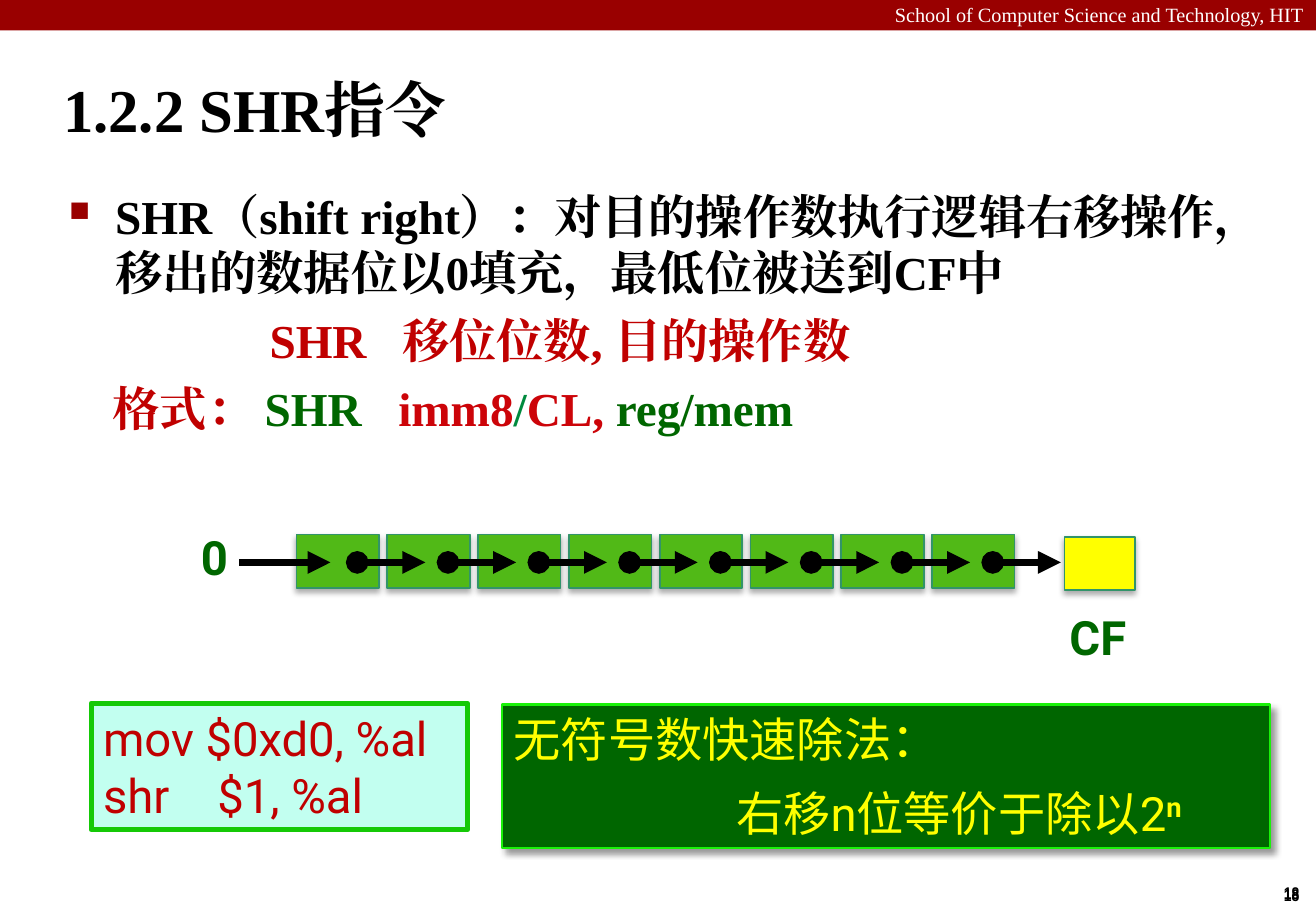
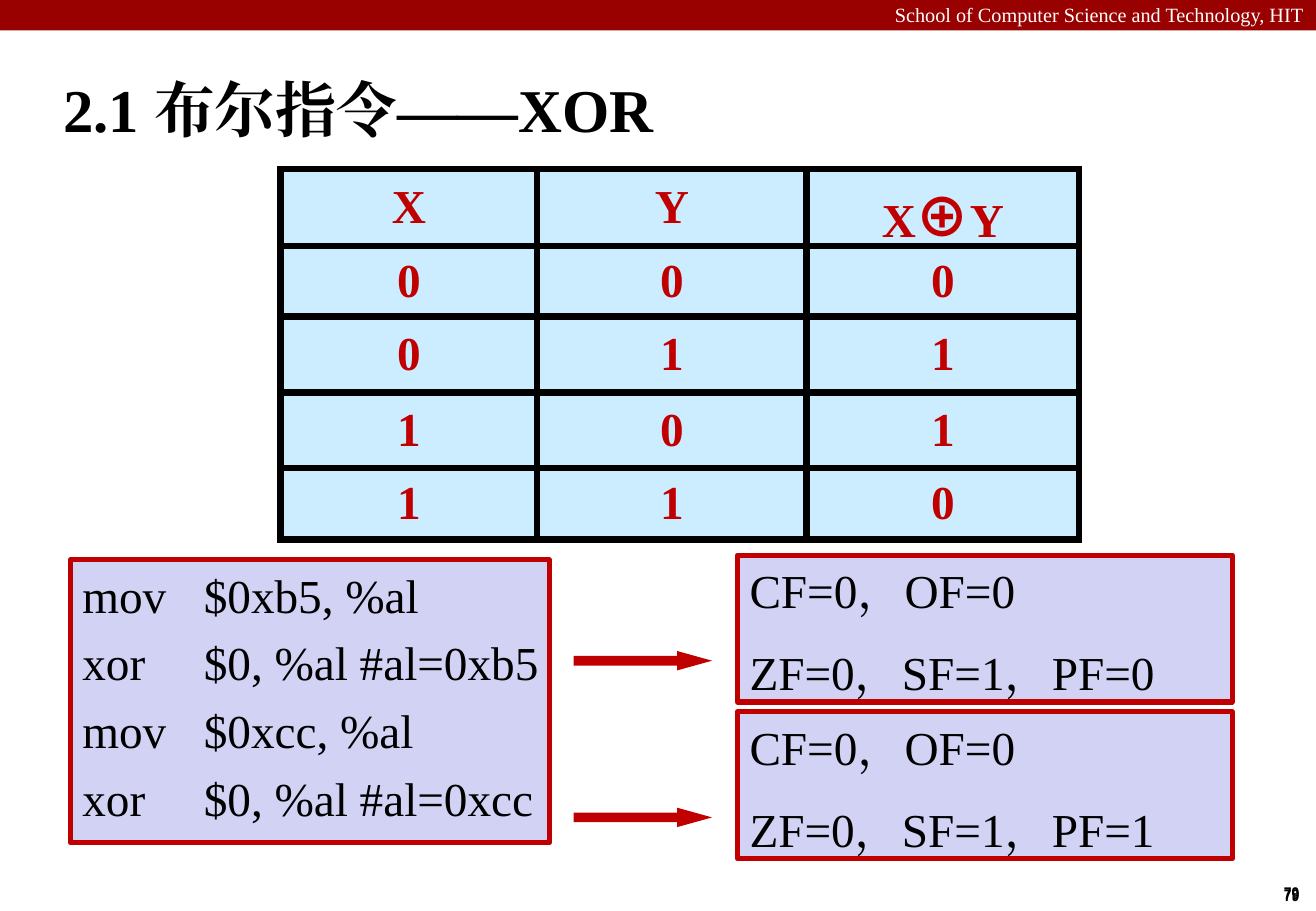
from lxml.etree import SubElement
from pptx import Presentation
from pptx.dml.color import RGBColor
from pptx.enum.shapes import MSO_CONNECTOR, MSO_SHAPE
from pptx.enum.text import MSO_ANCHOR, PP_ALIGN
from pptx.oxml.ns import qn
from pptx.util import Inches, Pt

# Content
HEAD = "School of Computer Science and Technology, HIT"
SHIFT = {
    "title": "1.2.2 SHR指令", "page": "18",
    "about": "SHR（shift right）：对目的操作数执行逻辑右移操作，移出的数据位以0填充，最低位被送到CF中",
    "usage": "\tSHR\t移位位数, 目的操作数",
    "form": [("\t格式：", "red"), ("\tSHR\t", "green"), ("imm8", "bright"),
             ("/", "teal"), ("CL, ", "bright"), ("reg/mem", "green")],
    "code": ["mov $0xd0, %al", "shr\t$1, %al"],
    "note": ["无符号数快速除法：", "右移n位等价于除以2"],
}
XOR = {
    "title": "2.1 布尔指令——XOR", "page": "79",
    "table": ["X Y X⊕Y".split(), "000", "011", "101", "110"],
    "code": ["mov\t$0xb5, %al", "xor\t$0, %al #al=0xb5",
             "mov\t$0xcc, %al", "xor\t$0, %al #al=0xcc"],
    "flags": [["CF=0，OF=0", "ZF=0，SF=1，PF=0"],
              ["CF=0，OF=0", "ZF=0，SF=1，PF=1"]],
}

# Style
HEX = {
    "band": "990000", "white": "FFFFFF", "black": "000000", "red": "C00000",
    "green": "006600", "bright": "CC0409", "teal": "008A3E", "bit": "51B917",
    "edge": "32946A", "yellow": "FFFF00", "mint": "C2FFF0", "lime": "15C907",
    "glow": "19F208", "sky": "CCECFF", "lilac": "D2D2F4",
}
SERIF, SANS, CJK = "Times New Roman", "Roboto", "Noto Sans CJK SC"
SOFT, DEEP = (32, 3.5, 2.2, 90), (40, 4, 3, 45)   # alpha, blur, distance, angle
WIDE = 10.83

deck = Presentation()
deck.slide_width, deck.slide_height = Inches(WIDE), Inches(7.5)


def rgb(name):
    return RGBColor.from_string(HEX[name])


def add(top, tag, **attrs):
    return SubElement(top, qn(tag), {k: str(v) for k, v in attrs.items()})


def solid(top, name):
    return add(add(top, "a:solidFill"), "a:srgbClr", val=HEX[name])


def style(font, face, size, color, bold=False):
    font.name, font.size, font.bold = face, Pt(size), bold
    font.color.rgb = rgb(color)
    add(font._rPr, "a:ea", typeface=face)


def write(frame, paras, color, face=SERIF, size=28, bold=False, gap=0,
          align=PP_ALIGN.LEFT, anchor=MSO_ANCHOR.TOP, wrap=True, tabs=()):
    """Fill a frame; a paragraph is a string or a list of (text, colour)."""
    frame.word_wrap, frame.vertical_anchor = wrap, anchor
    for i, runs in enumerate(paras):
        para = frame.add_paragraph() if i else frame.paragraphs[0]
        para.alignment = align
        if i:
            para.space_before = Pt(gap)
        for text, tint in [(runs, color)] if isinstance(runs, str) else runs:
            run = para.add_run()
            run.text = text
            if tint != color:
                run.font.color.rgb = rgb(tint)
        stops = tabs[i] if i < len(tabs) else ()
        if stops:
            rule = add(para._p.get_or_add_pPr(), "a:tabLst")
            for stop in stops:
                add(rule, "a:tab", pos=Inches(stop), algn="l")
        if i == 0 and frame in listed:
            pass
        style(para.font, face, size, color, bold)
    return frame.paragraphs


listed = ()


def label(slide, at, paras, color, **look):
    box = slide.shapes.add_textbox(*map(Inches, at))
    return write(box.text_frame, paras, color, **look)


def block(slide, at, fill, line=None, width=1, shade=None, kind=MSO_SHAPE.RECTANGLE):
    shape = slide.shapes.add_shape(kind, *map(Inches, at))
    shape.shadow.inherit = False
    shape.fill.solid()
    shape.fill.fore_color.rgb = rgb(fill)
    if line:
        shape.line.color.rgb, shape.line.width = rgb(line), Pt(width)
    else:
        shape.line.fill.background()
    if shade:
        alpha, blur, dist, angle = shade
        glow = add(shape._element.spPr.find(qn("a:effectLst")), "a:outerShdw",
                   blurRad=Pt(blur), dist=Pt(dist), dir=angle * 60000,
                   algn="ctr", rotWithShape=0)
        add(add(glow, "a:srgbClr", val=HEX["black"]), "a:alpha", val=alpha * 1000)
    return shape


def arrow(slide, left, right, top, dot=True):
    link = slide.shapes.add_connector(
        MSO_CONNECTOR.STRAIGHT, *map(Inches, (left, top, right, top)))
    link.line.color.rgb, link.line.width = rgb("black"), Pt(4.5)
    ends = link.line._get_or_add_ln()
    if dot:
        add(ends, "a:headEnd", type="oval")
    add(ends, "a:tailEnd", type="triangle")
    add(link._element.spPr, "a:effectLst")


def page(data):
    """A slide with its band, title and page number."""
    slide = deck.slides.add_slide(deck.slide_layouts[6])
    block(slide, (0, 0, WIDE, 0.25), "band")
    label(slide, (0, -0.03, WIDE, 0.3), [HEAD], "white", size=12, align=PP_ALIGN.RIGHT)
    for top in (7.23, 7.22):
        label(slide, (10.46, top, 0.34, 0.27), [data["page"]], "black", size=10,
              face="Arial Narrow", bold=True, align=PP_ALIGN.CENTER, wrap=False)
    label(slide, (0.42, 0.48, 10.41, 0.83), [data["title"]], "black", size=36,
          bold=True, anchor=MSO_ANCHOR.MIDDLE)
    return slide


def shift():
    slide = page(SHIFT)
    # Definition with a square bullet, then the syntax lines
    body = slide.shapes.add_textbox(*map(Inches, (0.47, 1.49, 10.18, 5.76)))
    first = body.text_frame.paragraphs[0]._p.get_or_add_pPr()
    first.set("marL", str(Inches(0.38)))
    first.set("indent", str(-Inches(0.38)))
    add(add(first, "a:buClr"), "a:srgbClr", val=HEX["band"])
    add(first, "a:buSzPct", val=60000)
    add(first, "a:buChar", char="■")
    write(body.text_frame,
          [[(SHIFT["about"], "black")], SHIFT["usage"], SHIFT["form"]], "red",
          bold=True, gap=6.5, tabs=[(), (1.65, 2.74), (0.36, 1.61, 2.71)])

    # Eight bits, drawn from the right so each arrow lies over the next bit
    count, start, last = 8, 2.44, 7.67
    step = (last - start) / (count - 1)
    for i in reversed(range(count)):
        left = start + i * step
        block(slide, (left, 4.4, 0.68, 0.44), "bit", "edge", shade=SOFT)
        arrow(slide, left + 0.5, left + 1.06, 4.63)
    block(slide, (8.76, 4.42, 0.58, 0.44), "yellow", "edge", shade=SOFT)
    bold = dict(face=SANS, bold=True, align=PP_ALIGN.CENTER)
    label(slide, (8.62, 4.96, 0.83, 0.55), ["CF"], "green", **bold)
    zero = block(slide, (1.43, 4.22, 0.67, 0.72), "white")
    write(zero.text_frame, ["0"], "green", anchor=MSO_ANCHOR.MIDDLE, **bold)
    arrow(slide, 1.97, 2.72, 4.63, dot=False)

    # Code and remark
    code = block(slide, (0.75, 5.79, 3.1, 1.04), "mint", "lime", 3)
    write(code.text_frame, SHIFT["code"], "red", face=SANS, tabs=[(), (0.94,)])
    note = block(slide, (4.13, 5.8, 6.32, 1.18), "green", "glow", 1.5, DEEP)
    tail = write(note.text_frame, SHIFT["note"], "yellow", face=SANS, gap=10)[1]
    tail._p.get_or_add_pPr().set("marL", str(Inches(1.83)))
    power = tail.add_run()
    power.text, power.font.bold = "n", True
    power._r.get_or_add_rPr().set("baseline", "30000")


def xor():
    slide = page(XOR)
    # Truth table
    cols, rows = (2.11, 2.22, 2.24), (0.63, 0.58, 0.63, 0.62, 0.59)
    grid = slide.shapes.add_table(
        len(rows), len(cols),
        *map(Inches, (2.31, 1.39, sum(cols), sum(rows)))).table
    for col, width in zip(grid.columns, cols):
        col.width = Inches(width)
    for r, (high, texts) in enumerate(zip(rows, XOR["table"])):
        grid.rows[r].height = Inches(high)
        for c, text in enumerate(texts):
            cell = grid.cell(r, c)
            for side in "LRTB":
                solid(add(cell._tc.get_or_add_tcPr(), "a:ln" + side, w=Pt(4.5)), "black")
            cell.fill.solid()
            cell.fill.fore_color.rgb = rgb("sky")
            cell.vertical_anchor = MSO_ANCHOR.MIDDLE
            para = cell.text_frame.paragraphs[0]
            para.alignment = PP_ALIGN.CENTER
            for sign in text:
                run = para.add_run()
                run.text = sign
                look = (CJK, 32) if sign == "⊕" else (SERIF, 28)
                style(run.font, *look, "red", True)

    # Code, and the flags each xor leaves
    code = block(slide, (0.58, 4.61, 3.94, 2.33), "lilac", "red", 3)
    write(code.text_frame, XOR["code"], "black", gap=6.5, wrap=False)
    for i, flags in enumerate(XOR["flags"]):
        top = 4.57 + i * 1.29
        mark = block(slide, (4.72, top + 0.79, 1.14, 0.16), "red",
                     kind=MSO_SHAPE.RIGHT_ARROW)
        mark.adjustments[1] = 1.8
        box = block(slide, (6.07, top, 4.07, 1.21), "lilac", "red", 3)
        write(box.text_frame, flags, "black", gap=15, wrap=False)


if __name__ == "__main__":
    shift()
    xor()
    deck.save("out.pptx")
